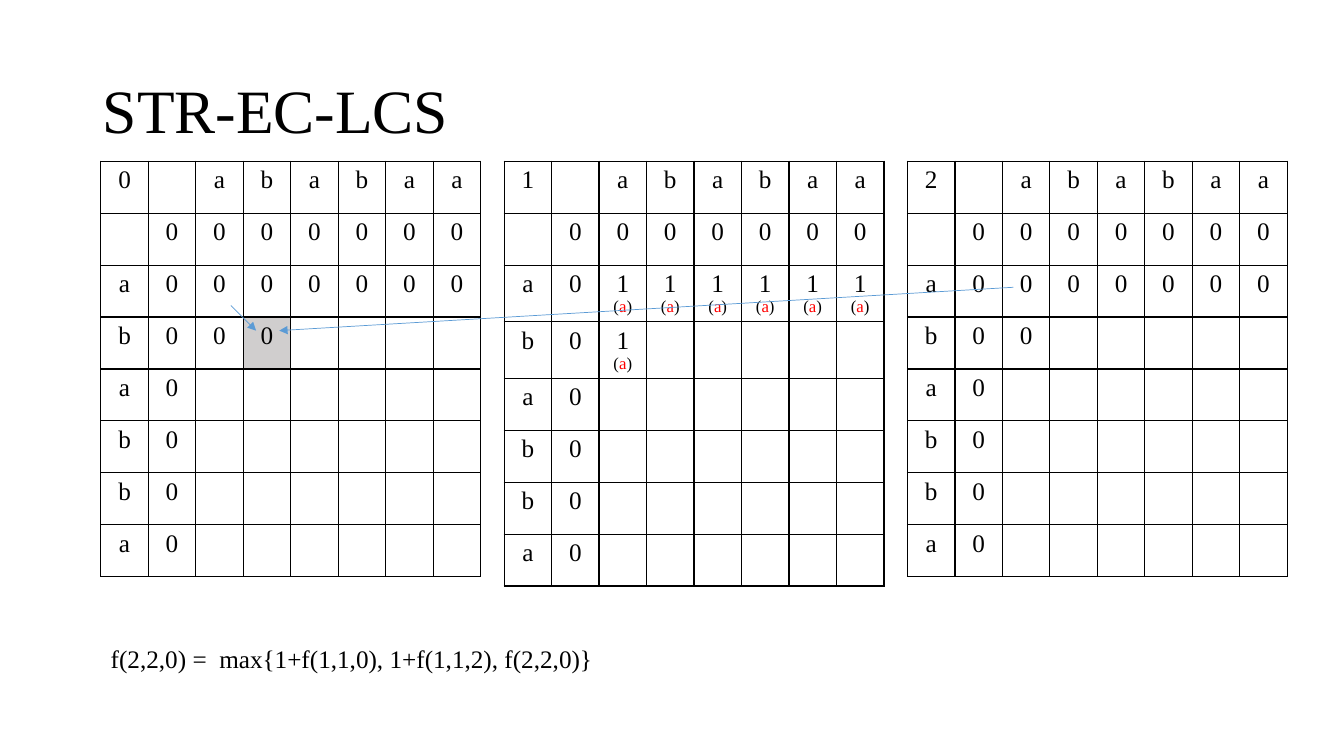
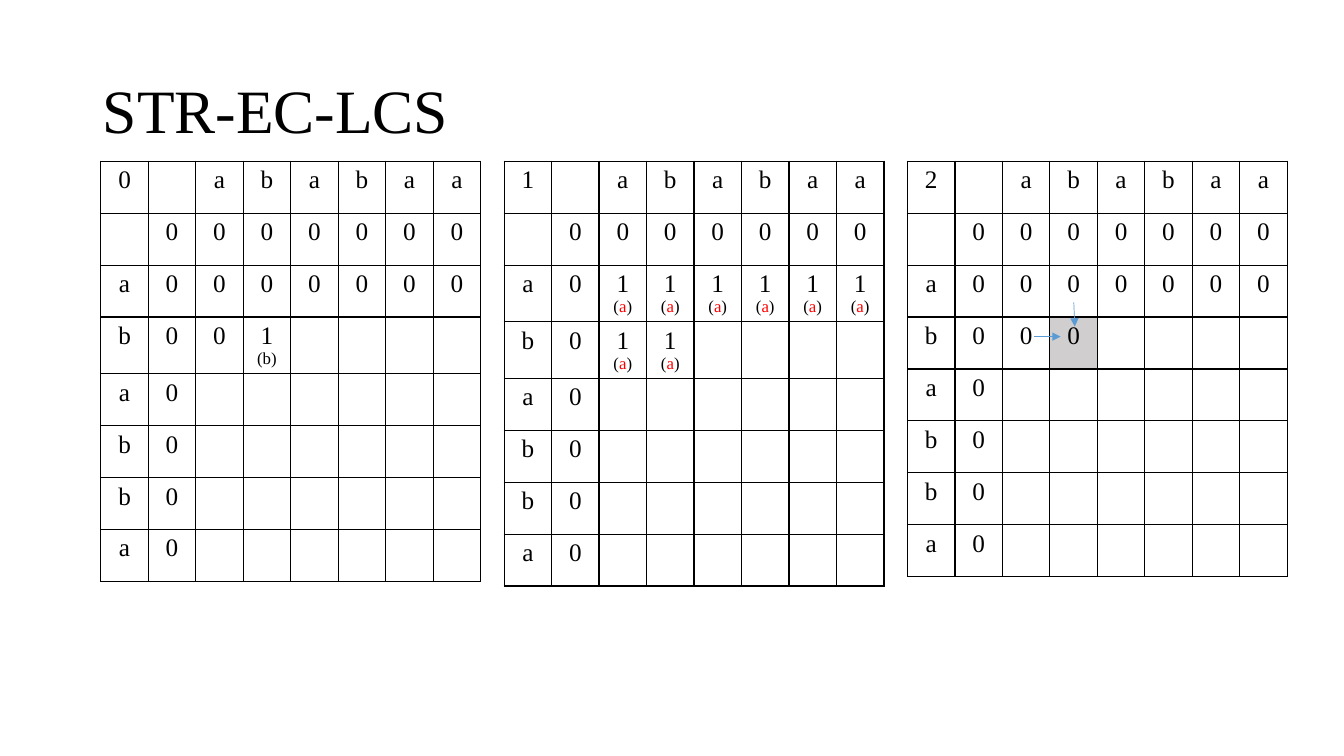
import pptx
import pptx.dml.color
import pptx.enum.shapes
import pptx.enum.text
import pptx.oxml
import pptx.oxml.ns
import pptx.util

Inches, Pt = pptx.util.Inches, pptx.util.Pt
RGBColor = pptx.dml.color.RGBColor
ALIGN = pptx.enum.text.PP_ALIGN
qn = pptx.oxml.ns.qn

BLACK = RGBColor(0x00, 0x00, 0x00)
RED = RGBColor(0xFF, 0x00, 0x00)
BLUE = RGBColor(0x5B, 0x9B, 0xD5)
GREY = RGBColor(0xD0, 0xCE, 0xCE)
NS = 'xmlns:a="http://schemas.openxmlformats.org/drawingml/2006/main"'
TITLE = {"left": Inches(0.92), "top": Inches(0.4),
         "width": Inches(11.5), "height": Inches(1.45)}
FRAME = {"auto_size": pptx.enum.text.MSO_AUTO_SIZE.NONE,
         "vertical_anchor": pptx.enum.text.MSO_ANCHOR.MIDDLE}
PARA = {"alignment": ALIGN.LEFT, "line_spacing": 0.9}
PLAIN = {"first_row": False, "horz_banding": False}

# Words compared: one along the top, one down the side
TOP, SIDE = "ababaa", "ababba"
SIZE = len(TOP) + 2
LEFT, STEP, WIDTH, HEIGHT = 1, 4, 3.77, 4.12

# Values in rows a and b of tables 0, 1 and 2; a letter after a digit is its note
ZEROS, ONES = ["0"] * 6, ["1a"] * 6
SLIDES = [
    {"tables": [(ZEROS, ["0", "0"]), (ONES, ["1a"]), (ZEROS, ["0"])],
     "focus": 0,
     "arrows": [(2.29, 3.03, 2.54, 3.28), (10.05, 2.85, 2.77, 3.28)],
     "rule": "f(2,2,0) =  max{1+f(1,1,0), 1+f(1,1,2), f(2,2,0)}"},
    {"tables": [(ZEROS, ["0", "1b"]), (ONES, ["1a", "1a"]), (ZEROS, ["0", "0"])],
     "focus": 2,
     "arrows": [(10.65, 3, 10.66, 3.24), (10.26, 3.34, 10.52, 3.34)],
     "rule": ""},
]


def write(para, text, size=18, color=BLACK):
    run = para.add_run()
    run.text = text
    for key, val in {"name": "Times New Roman", "size": Pt(size)}.items():
        setattr(run.font, key, val)
    run.font.color.rgb = color


def fill_cell(cell, mark, shade):
    """Draw the borders and fill, then the value with its note below."""
    props = cell._tc.get_or_add_tcPr()
    for side in ("lnL", "lnR", "lnT", "lnB"):
        props.append(pptx.oxml.parse_xml(
            f'<a:{side} {NS} w="12700"><a:solidFill><a:srgbClr val="{BLACK}"/>'
            f'</a:solidFill></a:{side}>'))
    if shade:
        cell.fill.solid()
        cell.fill.fore_color.rgb = GREY
    else:
        cell.fill.background()
    para = cell.text_frame.paragraphs[0]
    para.alignment = ALIGN.CENTER
    if mark:
        write(para, mark[0])
    if mark[1:]:
        note = cell.text_frame.add_paragraph()
        note.alignment = ALIGN.CENTER
        if mark[1] == "a":
            for text, color in (("(", BLACK), ("a", RED), (")", BLACK)):
                write(note, text, 12, color)
        else:
            write(note, f"({mark[1]})", 12)


deck = pptx.Presentation()
deck.slide_width, deck.slide_height = Inches(13.33), Inches(7.5)

for page in SLIDES:
    slide = deck.slides.add_slide(deck.slide_layouts[5])
    title = slide.shapes.title
    para = title.text_frame.paragraphs[0]
    for item, form in ((title, TITLE), (title.text_frame, FRAME), (para, PARA)):
        for key, val in form.items():
            setattr(item, key, val)
    write(para, "STR-EC-LCS", 44)

    for num, (first, second) in enumerate(page["tables"]):
        grid = [[str(num), "", *TOP], ["", "0", *ZEROS]]
        for i, char in enumerate(SIDE):
            vals = (first, second)[i] if i < 2 else []
            grid.append([char, "0", *vals] + [""] * (len(TOP) - len(vals)))
        table = slide.shapes.add_table(
            SIZE, SIZE, Inches(LEFT + num * STEP), Inches(1.6),
            Inches(WIDTH), Inches(HEIGHT)).table
        for key, val in PLAIN.items():
            setattr(table, key, val)
        for r, row in enumerate(grid):
            for c, mark in enumerate(row):
                shade = num == page["focus"] and (r, c) == (3, 3)
                fill_cell(table.cell(r, c), mark, shade)

    for ends in page["arrows"]:
        arrow = slide.shapes.add_connector(
            pptx.enum.shapes.MSO_CONNECTOR.STRAIGHT, *map(Inches, ends))
        arrow.line.color.rgb = BLUE
        arrow.line.width = Pt(0.5)
        line = arrow.line._get_or_add_ln()
        line.append(pptx.oxml.parse_xml(f'<a:tailEnd {NS} type="triangle"/>'))
        arrow._element.spPr.append(pptx.oxml.parse_xml(f"<a:effectLst {NS}/>"))

    if page["rule"]:
        box = slide.shapes.add_textbox(
            Inches(1), Inches(6.33), Inches(5.03), Inches(0.4))
        box.text_frame.word_wrap = False
        write(box.text_frame.paragraphs[0], page["rule"])

deck.save("out.pptx")
